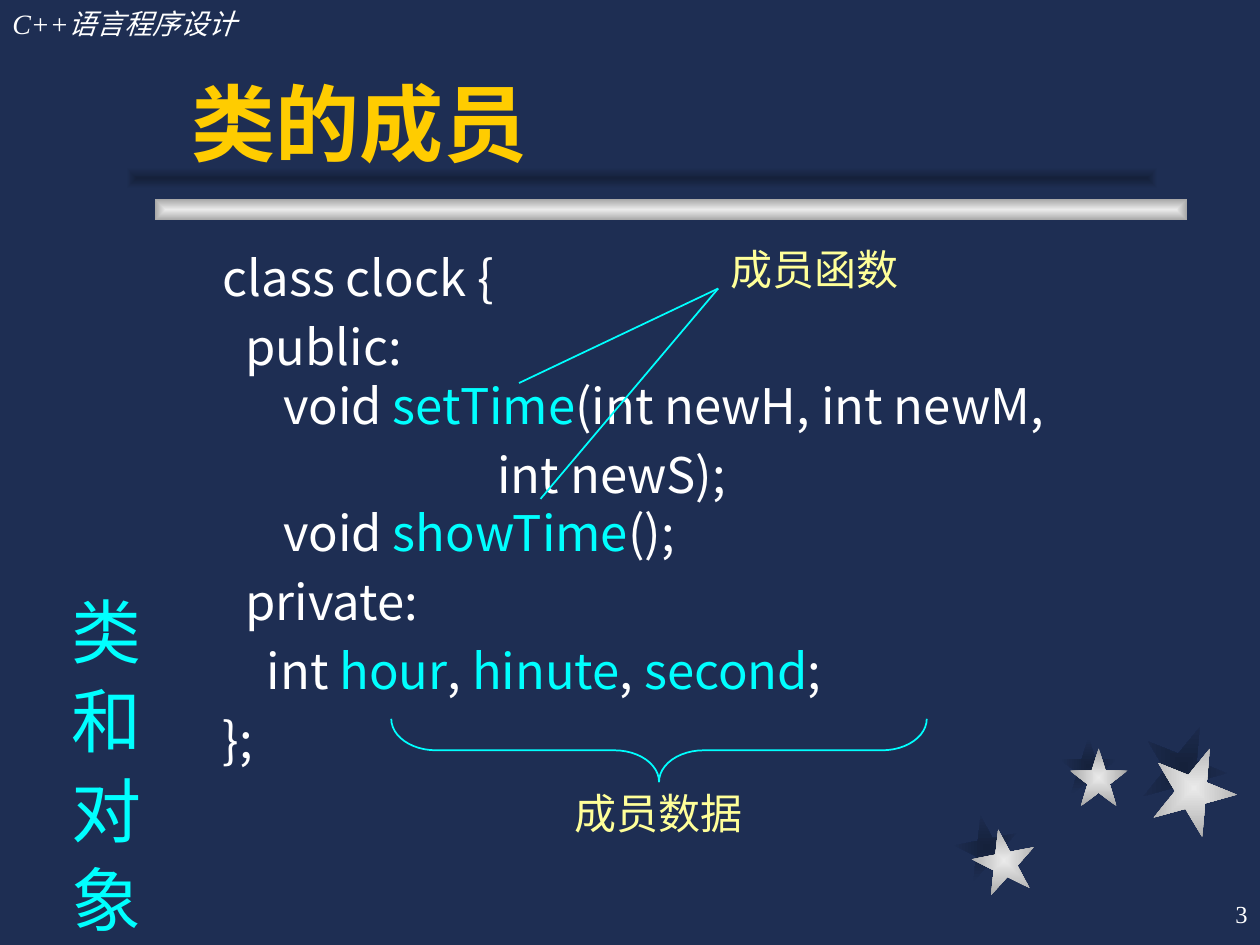
from lxml import etree
from pptx import Presentation
from pptx.dml.color import RGBColor
from pptx.enum.shapes import MSO_CONNECTOR, MSO_SHAPE
from pptx.enum.text import MSO_ANCHOR, MSO_AUTO_SIZE, PP_ALIGN
from pptx.oxml.ns import qn
from pptx.util import Inches, Pt

STAR, BAR, BRACE = MSO_SHAPE.STAR_5_POINT, MSO_SHAPE.RECTANGLE, MSO_SHAPE.RIGHT_BRACE
LEFT, CENTER, RIGHT = PP_ALIGN.LEFT, PP_ALIGN.CENTER, PP_ALIGN.RIGHT
TOP, MIDDLE, BOTTOM = MSO_ANCHOR.TOP, MSO_ANCHOR.MIDDLE, MSO_ANCHOR.BOTTOM
FIXED_SIZE = MSO_AUTO_SIZE.NONE

NAVY = RGBColor(0x1E, 0x2E, 0x53)
DARK = RGBColor(0x15, 0x21, 0x3B)
SILVER = RGBColor(0xEA, 0xEA, 0xEA)
GRAY = RGBColor(0xA7, 0xA7, 0xA7)
WHITE = RGBColor(0xFF, 0xFF, 0xFF)
GOLD = RGBColor(0xFF, 0xCC, 0x00)
CYAN = RGBColor(0x00, 0xFF, 0xFF)
YELLOW = RGBColor(0xFF, 0xFF, 0x99)
SERIF, SANS, CODE_FONT = "Times New Roman", "Arial", "Noto Sans CJK SC"

SHADE, METAL = (DARK, NAVY), (SILVER, GRAY)
# preset, colours, rows of (left, top, width, height, rotation)
DECORATION = [
    (STAR, SHADE, [(7.58, 6.47, 0.5, 0.5, 349), (8.41, 5.85, 0.46, 0.46, 0),
                   (9.06, 5.75, 0.67, 0.67, 22)]),
    (STAR, METAL, [(7.72, 6.58, 0.5, 0.5, 349), (8.49, 5.94, 0.46, 0.46, 0),
                   (9.14, 5.92, 0.67, 0.67, 22)]),
    (BAR, METAL, [(1.23, 1.58, 8.19, 0.17, 0)]),
    (BAR, SHADE, [(1, 1.33, 8.19, 0.17, 0)]),
]
TITLE = "类的成员"
TITLE_BOX = (1.42, 0.25, 7.83, 1.17)
# text, box, size, colour, alignment, anchor
LABELS = [
    ("C++语言程序设计", (0, 0, 3.08, 0.37), 16, WHITE, LEFT, TOP),
    ("3", (7.92, 7, 2.08, 0.5), 14, WHITE, RIGHT, MIDDLE),
    ("类 和 对 象", (0.3, 1.67, 0.87, 5.17), 40, CYAN, LEFT, TOP),
    ("成员数据", (4.35, 6.2, 1.75, 0.5), 24, YELLOW, CENTER, TOP),
    ("成员函数", (5.7, 1.88, 1.75, 0.5), 24, YELLOW, LEFT, TOP),
]
HEADER, CHAPTER = LABELS[0][0], LABELS[2][0]
CODE_BOX = (1.42, 1.92, 7.92, 4.92)
CODE_SIZE, LINE_PITCH, LINE_GAP = 28, 33.4, 6
# indent in inches, space before, pieces (every second piece is a member name)
CODE = [
    (0.25, 0, ["class clock {"]),
    (0.43, LINE_GAP, ["public:"]),
    (0.73, 0, ["void ", "setTime", "(int newH, int newM,"]),
    (2.43, LINE_GAP, ["int newS);"]),
    (0.73, 0, ["void ", "showTime", "();"]),
    (0.43, LINE_GAP, ["private:"]),
    (0.6, LINE_GAP, ["int ", "hour", ", ", "hinute", ", ", "second", ";"]),
    (0.25, LINE_GAP, ["};"]),
]
BRACE_BOX = (4.98, 3.83, 0.5, 4.25)
FUNCTION_LABEL_END = (5.7, 2.29)
FUNCTION_POINTS = [(4.29, 3.96), (4.12, 3.04)]


def inches(values):
    """Turn numbers into lengths."""
    return [Inches(value) for value in values]


def set_font(paragraph, face, size, color, bold=None, italic=None):
    """Format a paragraph; Chinese text is always sans serif."""
    font = paragraph.font
    font.size, font.bold, font.italic = Pt(size), bold, italic
    font.color.rgb = color
    font.name = face
    defaults = paragraph._p.pPr.find(qn("a:defRPr"))
    etree.SubElement(defaults, qn("a:ea")).set("typeface", SANS)


def add_text_frame(slide, box):
    """Add a wrapping text box of fixed size and return its frame."""
    frame = slide.shapes.add_textbox(*inches(box)).text_frame
    frame.word_wrap = True
    frame.auto_size = FIXED_SIZE
    return frame


def add_decoration(slide, preset, colors, box, rotation):
    """Add a borderless shape shaded from its centre outwards."""
    shape = slide.shapes.add_shape(preset, *inches(box))
    shape.rotation = rotation
    shape.shadow.inherit = False
    shape.line.fill.background()
    shape.fill.gradient()
    for stop, color, position in zip(shape.fill.gradient_stops, colors, (0, 1)):
        stop.color.rgb, stop.position = color, position
    gradient = shape._element.spPr.find(qn("a:gradFill"))
    linear = gradient.find(qn("a:lin"))
    center = etree.Element(qn("a:path"))
    center.set("path", "shape")
    target = etree.SubElement(center, qn("a:fillToRect"))
    for side in "ltrb":
        target.set(side, "50000")
    gradient.replace(linear, center)


def add_title(slide):
    """Place and format the title placeholder."""
    title = slide.shapes.title
    title.left, title.top, title.width, title.height = inches(TITLE_BOX)
    frame = title.text_frame
    frame.text = TITLE
    frame.auto_size = FIXED_SIZE
    frame.vertical_anchor = BOTTOM
    frame.paragraphs[0].alignment = LEFT
    set_font(frame.paragraphs[0], SANS, 48, GOLD, bold=True)


def add_label(slide, text, box, size, color, alignment, anchor):
    """Add a one-paragraph label; the chapter name runs downwards."""
    frame = add_text_frame(slide, box)
    frame.vertical_anchor = anchor
    frame.text = text
    frame.paragraphs[0].alignment = alignment
    set_font(frame.paragraphs[0], SERIF, size, color, italic=text == HEADER or None)
    if text == CHAPTER:
        frame._txBody.bodyPr.set("vert", "eaVert")


def add_code(slide):
    """Add the class listing with its member names highlighted."""
    frame = add_text_frame(slide, CODE_BOX)
    for number, (indent, gap, pieces) in enumerate(CODE):
        line = frame.add_paragraph() if number else frame.paragraphs[0]
        line.space_before, line.line_spacing = Pt(gap), Pt(LINE_PITCH)
        set_font(line, CODE_FONT, CODE_SIZE, WHITE)
        line._p.pPr.set("marL", str(Inches(indent)))
        for index, piece in enumerate(pieces):
            run = line.add_run()
            run.text = piece
            if index % 2:
                run.font.color.rgb = CYAN


def add_callouts(slide):
    """Add the brace under the data and the lines to the functions."""
    brace = slide.shapes.add_shape(BRACE, *inches(BRACE_BOX))
    brace.rotation = 90
    brace.adjustments[0], brace.adjustments[1] = 0.71, 0.5
    brace.fill.background()
    brace.shadow.inherit = False
    outlines = [brace.line]
    for point in FUNCTION_POINTS:
        pointer = slide.shapes.add_connector(
            MSO_CONNECTOR.STRAIGHT, *inches(point + FUNCTION_LABEL_END))
        outlines.append(pointer.line)
        pointer.line.width = Pt(1)
        etree.SubElement(pointer._element.spPr, qn("a:effectLst"))
    for outline in outlines:
        outline.color.rgb = CYAN
        outline.width = Pt(1)


def main():
    """Build and save the slide."""
    deck = Presentation()
    deck.slide_width, deck.slide_height = Inches(10), Inches(7.5)
    slide = deck.slides.add_slide(deck.slide_layouts[5])
    slide.background.fill.solid()
    slide.background.fill.fore_color.rgb = NAVY
    for preset, colors, places in DECORATION:
        for *box, rotation in places:
            add_decoration(slide, preset, colors, box, rotation)
    add_title(slide)
    add_code(slide)
    add_callouts(slide)
    for label in LABELS:
        add_label(slide, *label)
    deck.save("out.pptx")


main()
